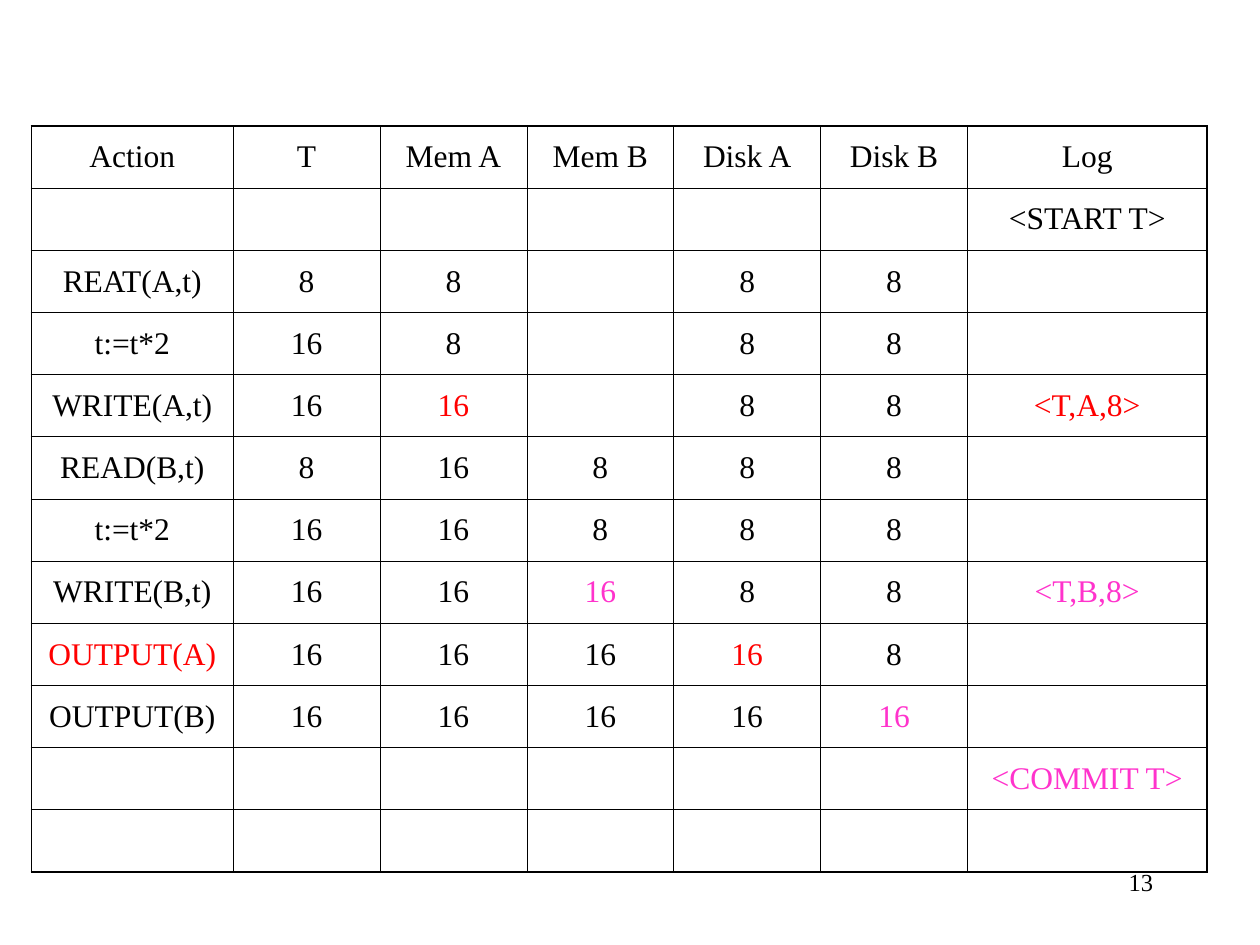
from dataclasses import dataclass

from lxml.etree import SubElement
from pptx import Presentation
from pptx.dml.color import RGBColor
from pptx.enum.text import MSO_ANCHOR, PP_ALIGN
from pptx.oxml.ns import qn
from pptx.util import Inches, Pt


@dataclass(frozen=True)
class Theme:
    font: str = "Times New Roman"
    black: str = "000000"
    red: str = "FF0000"
    pink: str = "FF33CC"
    table_size: int = 18
    number_size: int = 14
    inner_line: float = 0.45
    outer_line: float = 1.08


@dataclass(frozen=True)
class Grid:
    left: float = 0.25
    top: float = 1
    width: float = 9.33
    height: float = 5.92
    first_column: float = 1.6
    last_column: float = 1.9

    def column_widths(self, count: int) -> list[float]:
        middle = (self.width - self.first_column - self.last_column) / (count - 2)
        return [self.first_column] + [middle] * (count - 2) + [self.last_column]


@dataclass(frozen=True)
class Step:
    """One table row; colors maps a column number to its text colour."""
    values: tuple[str, ...]
    colors: tuple[tuple[int, str], ...] = ()


THEME = Theme()
GRID = Grid()
ACTION, MEM_A, MEM_B, DISK_A, DISK_B, LOG = 0, 2, 3, 4, 5, 6

STEPS = (
    Step(("Action", "T", "Mem A", "Mem B", "Disk A", "Disk B", "Log")),
    Step(("", "", "", "", "", "", "<START T>")),
    Step(("REAT(A,t)", "8", "8", "", "8", "8", "")),
    Step(("t:=t*2", "16", "8", "", "8", "8", "")),
    Step(("WRITE(A,t)", "16", "16", "", "8", "8", "<T,A,8>"),
         ((MEM_A, THEME.red), (LOG, THEME.red))),
    Step(("READ(B,t)", "8", "16", "8", "8", "8", "")),
    Step(("t:=t*2", "16", "16", "8", "8", "8", "")),
    Step(("WRITE(B,t)", "16", "16", "16", "8", "8", "<T,B,8>"),
         ((MEM_B, THEME.pink), (LOG, THEME.pink))),
    Step(("OUTPUT(A)", "16", "16", "16", "16", "8", ""),
         ((ACTION, THEME.red), (DISK_A, THEME.red))),
    Step(("OUTPUT(B)", "16", "16", "16", "16", "16", ""), ((DISK_B, THEME.pink),)),
    Step(("", "", "", "", "", "", "<COMMIT T>"), ((LOG, THEME.pink),)),
    Step(("",) * 7),
)


def write_text(text_frame, text: str, *, size: int = THEME.table_size,
               color: str = THEME.black, align=PP_ALIGN.CENTER) -> None:
    paragraph = text_frame.paragraphs[0]
    paragraph.alignment = align
    paragraph.font.size = Pt(size)
    if text:
        run = paragraph.add_run()
        run.text = text
        run.font.name = THEME.font
        run.font.size = Pt(size)
        run.font.color.rgb = RGBColor.from_string(color)


def add_borders(cell, outer_sides: dict[str, bool]) -> None:
    properties = cell._tc.get_or_add_tcPr()
    for side, is_outer in outer_sides.items():
        width = THEME.outer_line if is_outer else THEME.inner_line
        line = SubElement(properties, qn(f"a:ln{side}"), w=str(int(Pt(width))))
        fill = SubElement(line, qn("a:solidFill"))
        SubElement(fill, qn("a:srgbClr"), val=THEME.black)


def add_log_table(slide, steps: tuple[Step, ...], grid: Grid) -> None:
    row_count, column_count = len(steps), len(steps[0].values)
    frame = slide.shapes.add_table(
        row_count, column_count, Inches(grid.left), Inches(grid.top),
        Inches(grid.width), Inches(grid.height))
    table = frame.table
    table.first_row = table.horz_banding = False

    for column, width in zip(table.columns, grid.column_widths(column_count)):
        column.width = Inches(width)

    for row_number, step in enumerate(steps):
        table.rows[row_number].height = Inches(grid.height / row_count)
        colors = dict(step.colors)
        for column_number, value in enumerate(step.values):
            cell = table.cell(row_number, column_number)
            cell.vertical_anchor = MSO_ANCHOR.MIDDLE
            write_text(cell.text_frame, value,
                       color=colors.get(column_number, THEME.black))
            add_borders(cell, {
                "L": column_number == 0,
                "R": column_number == column_count - 1,
                "T": row_number == 0,
                "B": row_number == row_count - 1,
            })
            cell.fill.background()


def main() -> None:
    presentation = Presentation()
    presentation.slide_width, presentation.slide_height = Inches(10), Inches(7.5)
    slide = presentation.slides.add_slide(presentation.slide_layouts[6])

    # Slide number
    number_box = slide.shapes.add_textbox(
        Inches(7.17), Inches(6.83), Inches(2.08), Inches(0.5))
    number_box.text_frame.word_wrap = True
    write_text(number_box.text_frame, "13", size=THEME.number_size,
               align=PP_ALIGN.RIGHT)

    # Transaction steps with their log records
    add_log_table(slide, STEPS, GRID)

    presentation.save("out.pptx")


if __name__ == "__main__":
    main()
